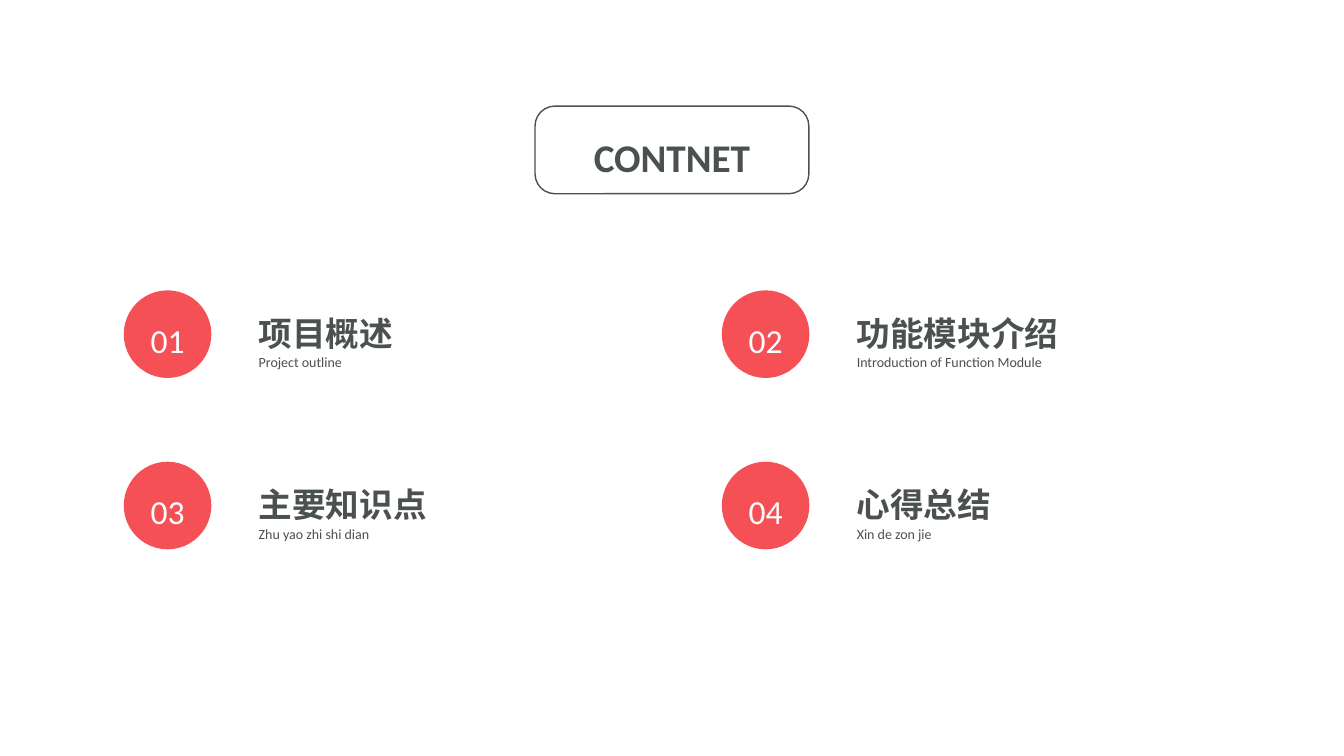
from pptx import Presentation
from pptx import util as u
from pptx.dml.color import RGBColor
from pptx.enum import shapes, text

INK, RED, WHITE = "4B5050", "F55055", "FFFFFF"


def colour(hex_string):
    return RGBColor.from_string(hex_string)


class ContentsPage:
    """Holds the style and the current slide; all lengths are in points."""

    font = "Calibri"
    line_spacing = 1.3

    def __init__(self, deck):
        self.page = deck.slides.add_slide(deck.slide_layouts[5])

    def add_words(self, frame, words, size, ink=INK, bold=False,
                  align=text.PP_ALIGN.LEFT, anchor=text.MSO_ANCHOR.TOP, wrap=True):
        frame.word_wrap = wrap
        frame.vertical_anchor = anchor
        para = frame.paragraphs[0]
        para.alignment = align
        para.line_spacing = self.line_spacing
        span = para.add_run()
        span.text = words
        span.font.name = self.font
        span.font.size = u.Pt(size)
        span.font.bold = bold
        span.font.color.rgb = colour(ink)

    def shape(self, kind, left, top, width, height, fill=None, line=None):
        shape = self.page.shapes.add_shape(
            kind, u.Pt(left), u.Pt(top), u.Pt(width), u.Pt(height))
        shape.shadow.inherit = False
        if fill:
            shape.fill.solid()
            shape.fill.fore_color.rgb = colour(fill)
        else:
            shape.fill.background()
        if line:
            shape.line.color.rgb = colour(line)
            shape.line.width = u.Pt(1)
        else:
            shape.line.fill.background()
        return shape

    def title(self, words, left, top, width, height):
        outline = self.shape(shapes.MSO_SHAPE.ROUNDED_RECTANGLE,
                             left, top, width, height, line=INK)
        outline.adjustments[0] = 0.227
        title = self.page.shapes.title
        title.left, title.top = u.Pt(left), u.Pt(top)
        title.width, title.height = u.Pt(width), u.Pt(height)
        title.text_frame.auto_size = text.MSO_AUTO_SIZE.NONE
        self.add_words(title.text_frame, words, 28, bold=True,
                       align=text.PP_ALIGN.CENTER, anchor=text.MSO_ANCHOR.MIDDLE)

    def badge(self, words, left, top, size):
        circle = self.shape(shapes.MSO_SHAPE.OVAL, left, top, size, size, fill=RED)
        self.add_words(circle.text_frame, words, 24, ink=WHITE,
                       align=text.PP_ALIGN.CENTER, anchor=text.MSO_ANCHOR.MIDDLE)

    def label(self, words, left, top, width, height, size, bold=False, wrap=True):
        box = self.page.shapes.add_textbox(
            u.Pt(left), u.Pt(top), u.Pt(width), u.Pt(height))
        box.text_frame.auto_size = text.MSO_AUTO_SIZE.SHAPE_TO_FIT_TEXT
        self.add_words(box.text_frame, words, size, bold=bold, wrap=wrap)


def main():
    deck = Presentation()
    deck.slide_width, deck.slide_height = u.Pt(960), u.Pt(540)
    contents = ContentsPage(deck)

    # Title in a rounded frame
    contents.title("CONTNET", 382.2, 75.8, 195.6, 62.6)

    # Two-by-two grid of chapters
    chapters = [
        ("项目概述", "Project outline"),
        ("功能模块介绍", "Introduction of Function Module"),
        ("主要知识点", "Zhu yao zhi shi dian"),
        ("心得总结", "Xin de zon jie"),
    ]
    for index, (heading, subtitle) in enumerate(chapters):
        row, column = divmod(index, 2)
        left = 88.4 + column * 427.2
        top = 207.4 + row * 122.4
        text_left = left + 89.3
        contents.badge(f"{index + 1:02}", left, top, 62.6)
        contents.label(heading, text_left, top + 3.6,
                       15.4 + 24 * len(heading), 41.8, 24, bold=True, wrap=False)
        contents.label(subtitle, text_left, top + 38.2, 277.2, 21.6, 10)

    deck.save("out.pptx")


if __name__ == "__main__":
    main()
